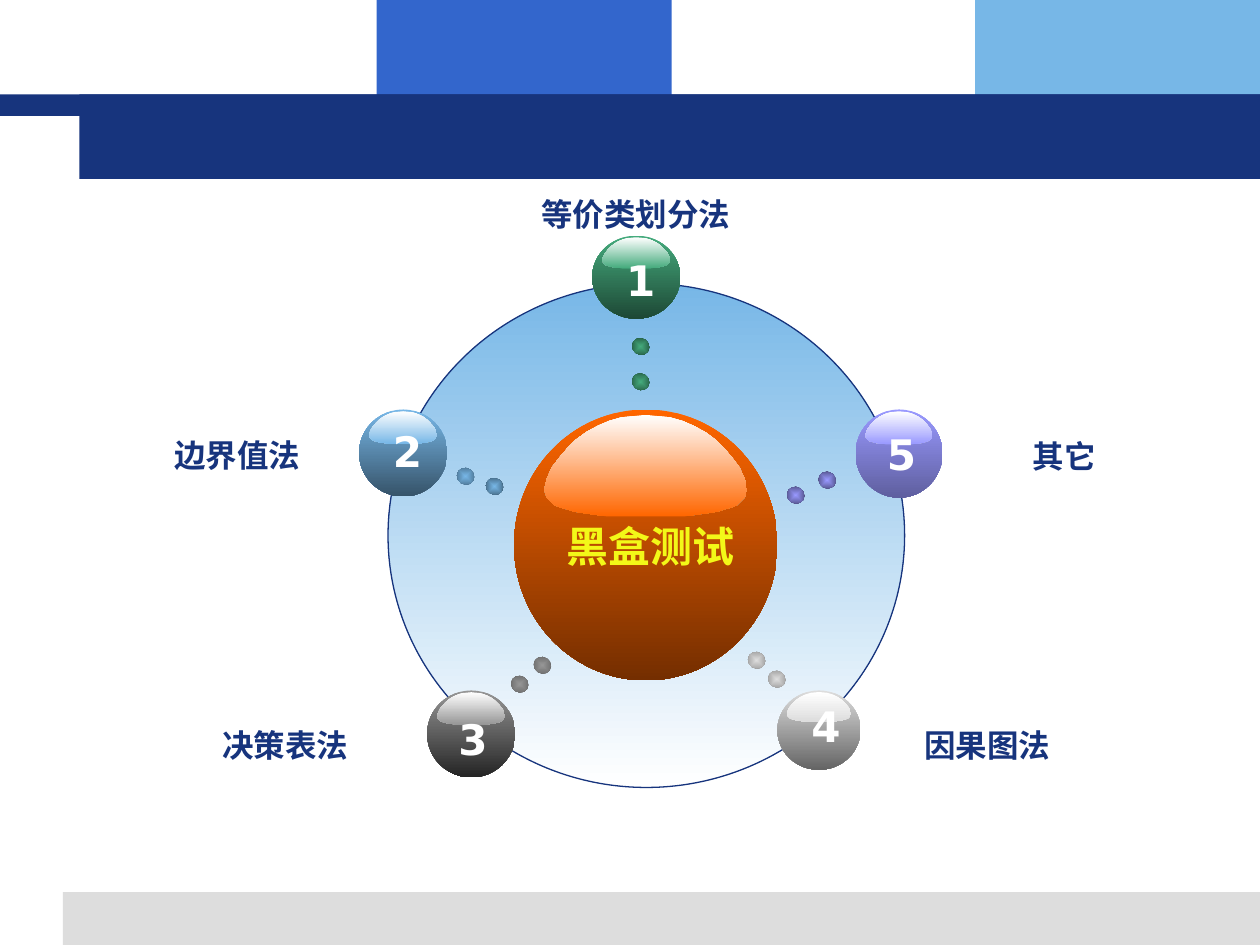
from lxml.etree import SubElement as Sub
from pptx import Presentation
from pptx.dml.color import RGBColor
from pptx.enum.shapes import MSO_SHAPE as Kind
from pptx.enum.text import MSO_AUTO_SIZE as Fit, PP_ALIGN as Align
from pptx.oxml.ns import qn
from pptx.util import Inches, Pt

NAVY, SKY, WHITE = "17347D", "77B7E7", "FFFFFF"
HALF = [(58, 81), (50, 81), (43, 80), (36, 79), (29, 78), (23, 77), (17, 75), (13, 74),
        (8, 72), (5, 69), (2, 66), (0, 60), (1, 55), (2, 51), (6, 42), (12, 34), (18, 27),
        (25, 20), (33, 14), (42, 9), (51, 5), (61, 2), (71, 1), (80, 0)]
GLOSS = HALF + [(161 - x, y) for x, y in reversed(HALF)]
BARS = [
    ((2.99, 0, 2.34, 0.92), "3366CC"),
    ((7.74, 0, 2.26, 0.92), SKY),
    ((0.5, 7.08, 9.5, 0.42), "DDDDDD"),
    ((0, 0.75, 10, 0.17), NAVY),
    ((0.63, 0.75, 9.37, 0.67), NAVY),
]
NODES = [
    ("1", (4.7, 1.87, 0.7, 0.66), "45AB7D", "1D4835", (4.87, 1.97), "等价类划分法", (4.08, 1.5),
     [(5.02, 2.68, "1F4E39"), (5.02, 2.96, "22533D")]),
    ("2", (2.85, 3.25, 0.7, 0.69), SKY, "365369", (3.02, 3.33), "边界值法", (0.92, 3.41),
     [(3.63, 3.71, "456985"), (3.86, 3.79, "3A5970")]),
    ("3", (3.39, 5.48, 0.7, 0.69), "969696", "242424", (3.54, 5.61), "决策表法", (1.3, 5.71),
     [(4.06, 5.36, "646464"), (4.24, 5.21, "646464")]),
    ("4", (6.17, 5.48, 0.66, 0.63), "DDDDDD", "656565", (6.34, 5.51), "因果图法", (6.87, 5.71),
     [(6.1, 5.32, "939393"), (5.94, 5.17, "939393")]),
    ("5", (6.79, 3.25, 0.69, 0.7), "9999FF", "5F5F9F", (6.94, 3.35), "其它", (7.48, 3.42),
     [(6.5, 3.74, "444471"), (6.25, 3.86, "444471")]),
]


def rgb(code):
    return RGBColor.from_string(code)


def put(frame, text, size=18, font="Arial", color=NAVY, wrap=True):
    frame.word_wrap = wrap
    frame.auto_size = Fit.SHAPE_TO_FIT_TEXT
    para = frame.paragraphs[0]
    para.alignment = Align.CENTER
    run = para.add_run()
    run.text = text
    run.font.size, run.font.name, run.font.bold = Pt(size), font, True
    run.font.color.rgb = rgb(color)


class Board:
    """Holds the current slide and draws its bars, balls, dots and texts."""

    def __init__(self, slide):
        self.shapes = slide.shapes

    def plain(self, shape):
        shape.shadow.inherit = False
        shape.line.fill.background()
        return shape

    def shade(self, shape, start, end):
        shape.fill.gradient()
        shape.fill.gradient_angle = 270
        for stop, code, at in zip(shape.fill.gradient_stops, (start, end), (0, 1)):
            stop.color.rgb, stop.position = rgb(code), at

    def bar(self, box, color):
        shape = self.plain(self.shapes.add_shape(Kind.RECTANGLE, *map(Inches, box)))
        shape.fill.solid()
        shape.fill.fore_color.rgb = rgb(color)

    def disc(self, box, start, end):
        shape = self.plain(self.shapes.add_shape(Kind.OVAL, *map(Inches, box)))
        self.shade(shape, start, end)
        return shape

    def ring(self, box):
        line = self.disc(box, SKY, WHITE).line
        line.color.rgb, line.width = rgb(NAVY), Pt(0.75)

    def ball(self, box, start, end):
        self.disc(box, start, end)
        left, top, wide, high = box
        spots = [(Inches(left + wide * (0.115 + 0.77 * x / 161)),
                  Inches(top + high * (0.02 + 0.375 * y / 81))) for x, y in GLOSS]
        form = self.shapes.build_freeform(*spots[0])
        form.add_line_segments(spots[1:], close=True)
        self.shade(self.plain(form.convert_to_shape()), WHITE, start)

    def dot(self, left, top, start, end):
        shape = self.disc((left, top, 0.13, 0.14), start, end)
        shape.rotation = 303.8
        grad = shape._element.spPr.find(qn("a:gradFill"))
        grad.remove(grad.find(qn("a:lin")))
        way = Sub(grad, qn("a:path"), path="rect")
        Sub(way, qn("a:fillToRect"), dict.fromkeys("ltrb", "50000"))

    def text(self, box, words, **style):
        put(self.shapes.add_textbox(*map(Inches, box)).text_frame, words, **style)


def main():
    deck = Presentation()
    deck.slide_width, deck.slide_height = Inches(10), Inches(7.5)
    board = Board(deck.slides.add_slide(deck.slide_layouts[6]))
    for box, color in BARS:
        board.bar(box, color)
    board.ring((3.08, 2.25, 4.1, 4))
    board.ball((4.08, 3.25, 2.09, 2.15), "FF6600", "742E00")
    board.text((4.4, 4.08, 1.53, 0.5), "黑盒测试", size=24, color="F3F818", wrap=False)
    for num, box, light, dark, spot, name, place, dots in NODES:
        board.ball(box, light, dark)
        board.text((*spot, 0.39, 0.5), num, size=24, font="DejaVu Sans", color=WHITE, wrap=False)
        for left, top, end in dots:
            board.dot(left, top, light, end)
        board.text((*place, 1.93, 0.4), name)
    deck.save("out.pptx")


if __name__ == "__main__":
    main()
